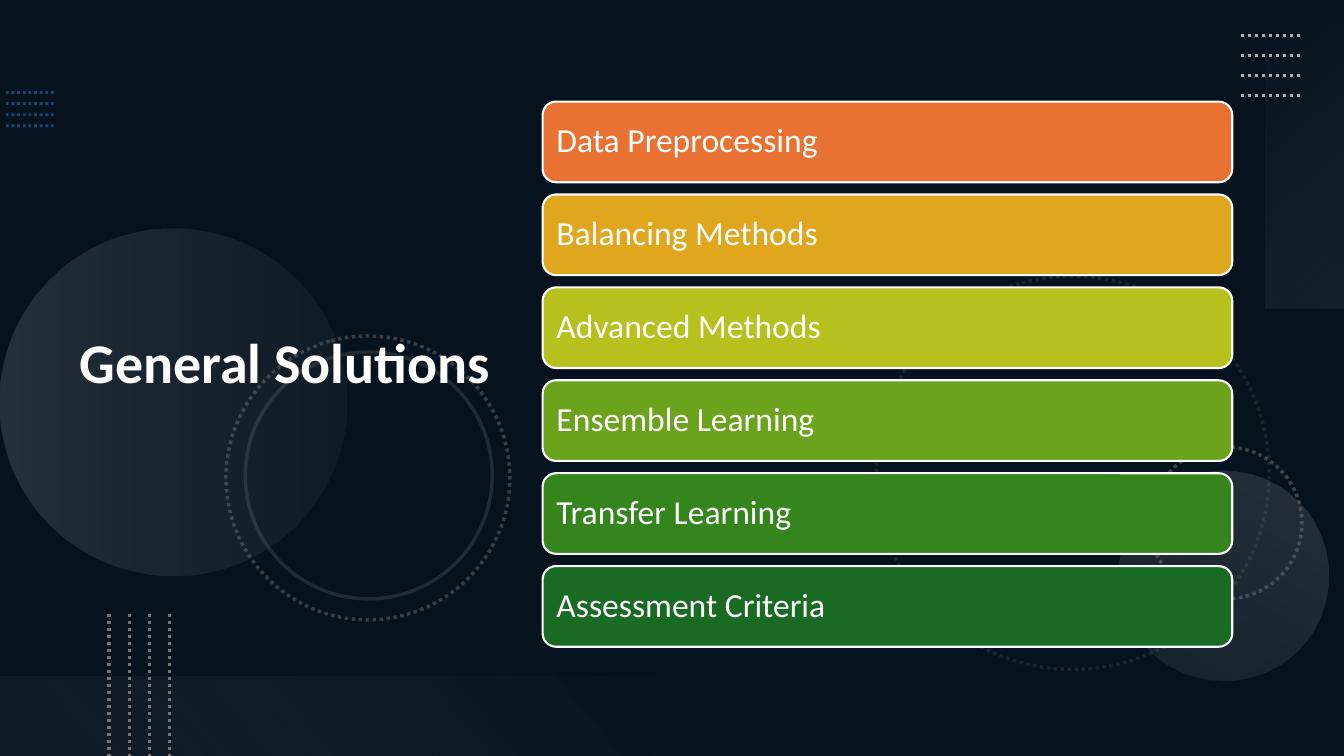
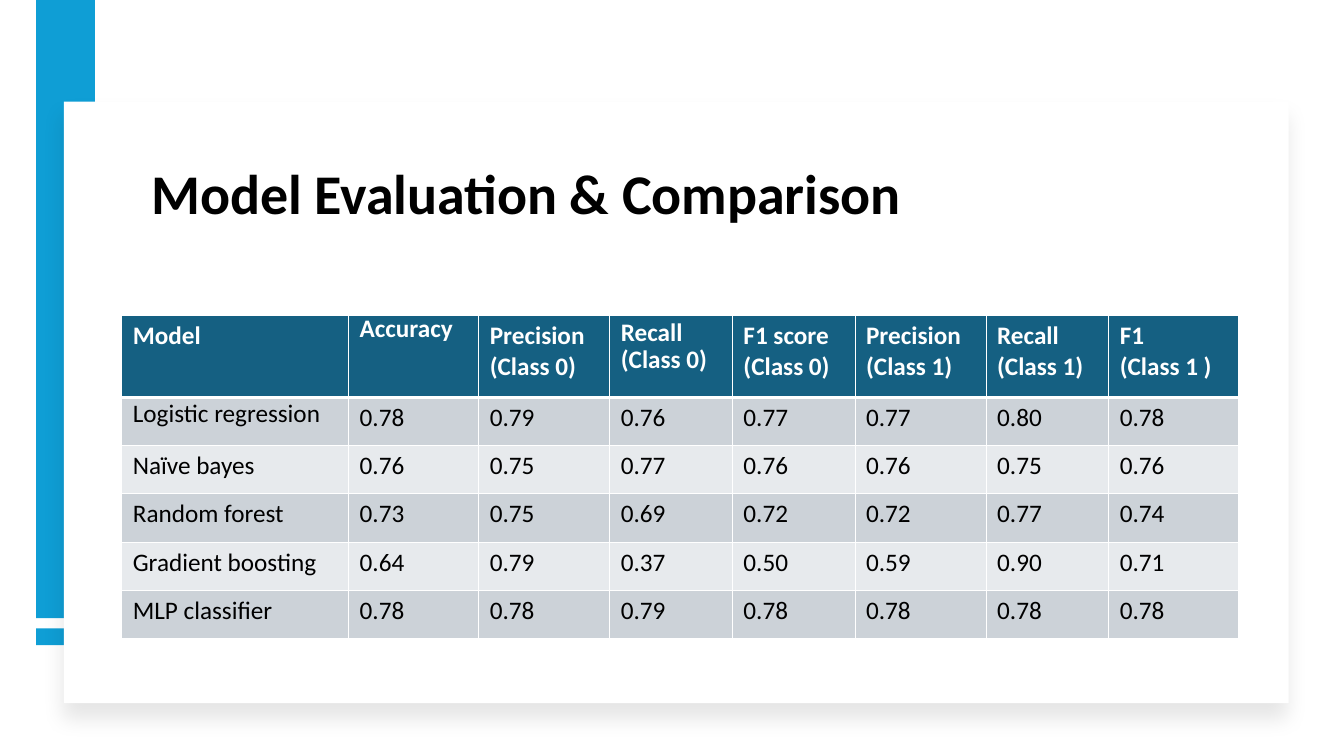
from pptx import Presentation
from pptx import util as u
from pptx.dml.color import RGBColor
from pptx.enum import dml, shapes, text
from pptx.oxml import parse_xml
from pptx.oxml.ns import nsdecls

# Shared look: a grid of 160 columns by 90 rows of square cells
CELL = u.Inches(1) // 12
COLUMNS, ROWS = 160, 90
FONT = "Calibri"
WHITE = RGBColor(0xFF, 0xFF, 0xFF)
BLACK = RGBColor(0x00, 0x00, 0x00)
NAVY = RGBColor(0x0E, 0x28, 0x41)
DOT_BLUE = RGBColor(0x2D, 0x7F, 0xCF)
GREY = RGBColor(0x74, 0x74, 0x74)
SILVER = RGBColor(0xAE, 0xAE, 0xAE)
PALE = RGBColor(0xF6, 0xF6, 0xF6)
SKY = RGBColor(0x0F, 0x9E, 0xD5)
TEAL = RGBColor(0x15, 0x60, 0x82)
BAND_DARK = RGBColor(0xCC, 0xD2, 0xD8)
BAND_LIGHT = RGBColor(0xE7, 0xEA, 0xED)
ORANGE = RGBColor(0xE9, 0x71, 0x32)
AMBER = RGBColor(0xE0, 0xA6, 0x1D)
LIME = RGBColor(0xB7, 0xC1, 0x1E)
LEAF = RGBColor(0x6B, 0xA3, 0x1D)
GREEN = RGBColor(0x34, 0x86, 0x1C)
FOREST = RGBColor(0x19, 0x6B, 0x24)
KIND = shapes.MSO_SHAPE


def add_box(slide, kind, box, color=None):
    """Add a shape on the grid without line or shadow, filled if a colour is given."""
    shape = slide.shapes.add_shape(kind, *(int(n * CELL) for n in box))
    shape.shadow.inherit = False
    shape.line.fill.background()
    if color is None:
        shape.fill.background()
    else:
        shape.fill.solid()
        shape.fill.fore_color.rgb = color
    return shape


def set_opacity(fill_parent, percent):
    """Make the colour inside an XML element partly transparent."""
    for color in fill_parent.iter("{*}srgbClr"):
        color.append(parse_xml(f'<a:alpha {nsdecls("a")} val="{percent * 1000}"/>'))


prs = Presentation()
prs.slide_width, prs.slide_height = COLUMNS * CELL, ROWS * CELL
solutions, evaluation = (prs.slides.add_slide(prs.slide_layouts[5]) for _ in range(2))
for slide, backdrop in ((solutions, NAVY), (evaluation, WHITE)):
    slide.background.fill.solid()
    slide.background.fill.fore_color.rgb = backdrop

# Slide 1: dark veil over the backdrop
veil = add_box(solutions, KIND.RECTANGLE, (0, 0, COLUMNS, ROWS), BLACK)
set_opacity(veil.fill._xPr.find("{*}solidFill"), 53)

# Slide 1: dotted line groups (first line, step to the next, colour, width, opacity)
for (x1, y1, x2, y2), (dx, dy), color, width, opacity in (
    ((0.7, 11, 6.4, 11), (0, 1.33), DOT_BLUE, 2, 50),
    ((147.7, 4.2, 154.9, 4.2), (0, 2.4), SILVER, 2.5, 100),
    ((13, 73.1, 13, ROWS), (2.4, 0), GREY, 2.5, 100),
):
    for i in range(4):
        ends = (x1 + i * dx, y1 + i * dy, x2 + i * dx, y2 + i * dy)
        dots = solutions.shapes.add_connector(
            shapes.MSO_CONNECTOR.STRAIGHT, *(int(n * CELL) for n in ends))
        dots.line.color.rgb = color
        dots.line.width = u.Pt(width)
        dots.line.dash_style = dml.MSO_LINE.ROUND_DOT
        set_opacity(dots.line._ln, opacity)
        dots._element.spPr.append(parse_xml(f'<a:effectLst {nsdecls("a")}/>'))

# Slide 1: faded discs and panels (box, rotation, gradient angle, stops)
for kind, box, rotation, angle, stops in (
    (KIND.OVAL, (0, 27.2, 41.3, 41.3), 270, 90, ((0, SILVER, 20), (100, GREY, 10))),
    (KIND.OVAL, (133.2, 56, 25, 25), 210, 90, ((0, SILVER, 10), (100, SILVER, 20))),
    (KIND.RECTANGLE, (137, 13.7, 36.7, 9.4), 270, 140, ((0, PALE, 0), (100, SILVER, 10))),
    (KIND.RECTANGLE, (0, 80.6, 80, 9.4), 180, 140, ((10, GREY, 10), (100, PALE, 0))),
):
    faded = add_box(solutions, kind, box)
    faded.rotation = rotation
    stop_xml = "".join(
        f'<a:gs pos="{at * 1000}"><a:srgbClr val="{color}">'
        f'<a:alpha val="{opacity * 1000}"/></a:srgbClr></a:gs>'
        for at, color, opacity in stops)
    no_fill = faded._element.spPr.find("{*}noFill")
    no_fill.getparent().replace(no_fill, parse_xml(
        f'<a:gradFill {nsdecls("a")} rotWithShape="1"><a:gsLst>{stop_xml}</a:gsLst>'
        f'<a:lin ang="{angle * 60000}" scaled="0"/></a:gradFill>'))

# Slide 1: rings (left, top, diameter, rotation, dotted, opacity)
for x, y, size, rotation, dotted, opacity in (
    (104.3, 32.9, 46.8, 75, True, 20),
    (136.9, 53.2, 18.1, 270, True, 50),
    (26.9, 40, 33.8, 75, True, 45),
    (29.2, 41.9, 29.4, 75, False, 25),
):
    ring = add_box(solutions, KIND.OVAL, (x, y, size, size))
    ring.rotation = rotation
    ring.line.color.rgb = GREY
    ring.line.width = u.Pt(2.5)
    if dotted:
        ring.line.dash_style = dml.MSO_LINE.ROUND_DOT
    set_opacity(ring.line._ln, opacity)

# Slide 1: list of solutions
for i, (solution, color) in enumerate((
    ("Data Preprocessing", ORANGE),
    ("Balancing Methods", AMBER),
    ("Advanced Methods", LIME),
    ("Ensemble Learning", LEAF),
    ("Transfer Learning", GREEN),
    ("Assessment Criteria", FOREST),
)):
    bar = add_box(solutions, KIND.ROUNDED_RECTANGLE, (64.6, 12.1 + i * 11.06, 82.1, 9.6), color)
    bar.line.color.rgb = WHITE
    bar.line.width = u.Pt(1.5)
    bar.text_frame.vertical_anchor = text.MSO_ANCHOR.MIDDLE
    label = bar.text_frame.paragraphs[0]
    label.alignment = text.PP_ALIGN.LEFT
    label.line_spacing = 0.9
    run = label.add_run()
    run.text = solution
    run.font.name, run.font.size, run.font.color.rgb = FONT, u.Pt(24), WHITE

# Slide 2: side band and raised card
for box in ((4.3, 74.8, 7, 2), (4.3, 0, 7, 73.6)):
    add_box(evaluation, KIND.RECTANGLE, box, SKY)
card = add_box(evaluation, KIND.RECTANGLE, (7.6, 12.1, 145.8, 71.6), WHITE)
card._element.spPr.find("{*}effectLst").append(parse_xml(
    f'<a:outerShdw {nsdecls("a")} blurRad="{u.Pt(15)}" dist="{u.Pt(11)}" dir="5400000" '
    f'algn="t" rotWithShape="0"><a:srgbClr val="{BLACK}"><a:alpha val="10000"/>'
    '</a:srgbClr></a:outerShdw>'))

# Slide 2: table of scores
SCORES = (
    ("Model", "Accuracy", "Precision\n(Class 0)", "Recall\n(Class 0)", "F1 score\n(Class 0)",
     "Precision\n(Class 1)", "Recall\n(Class 1)", "F1\n(Class 1 )"),
    ("Logistic regression", "0.78", "0.79", "0.76", "0.77", "0.77", "0.80", "0.78"),
    ("Naïve bayes", "0.76", "0.75", "0.77", "0.76", "0.76", "0.75", "0.76"),
    ("Random forest", "0.73", "0.75", "0.69", "0.72", "0.72", "0.77", "0.74"),
    ("Gradient boosting", "0.64", "0.79", "0.37", "0.50", "0.59", "0.90", "0.71"),
    ("MLP classifier", "0.78", "0.78", "0.79", "0.78", "0.78", "0.78", "0.78"),
)
COLUMN_WIDTHS = (27, 15.5, 15.6, 14.6, 14.6, 15.6, 14.6, 15.4)
ROW_HEIGHTS = (9.7,) + (5.75,) * 5
TIGHT_LINES = {(0, 1): 16.5, (0, 3): 19.5, (1, 0): 19.5}

table_box = (14.5, 37.6, sum(COLUMN_WIDTHS), sum(ROW_HEIGHTS))
scores = evaluation.shapes.add_table(
    len(SCORES), len(COLUMN_WIDTHS), *(int(n * CELL) for n in table_box)).table
scores.horz_banding = False
for column, width in zip(scores.columns, COLUMN_WIDTHS):
    column.width = int(width * CELL)
for r, (row, height, entries) in enumerate(zip(scores.rows, ROW_HEIGHTS, SCORES)):
    row.height = int(height * CELL)
    for c, (cell, entry) in enumerate(zip(row.cells, entries)):
        cell.margin_left = cell.margin_right = u.Inches(0.11)
        cell.margin_top = cell.margin_bottom = u.Inches(0.05)
        heavy_side = {0: "B", 1: "T"}.get(r)
        for side in "LRTB":
            width = u.Pt(2.34 if side == heavy_side else 0.78)
            cell._tc.get_or_add_tcPr().append(parse_xml(
                f'<a:ln{side} {nsdecls("a")} w="{width}"><a:solidFill>'
                f'<a:srgbClr val="{WHITE}"/></a:solidFill></a:ln{side}>'))
        cell.fill.solid()
        cell.fill.fore_color.rgb = TEAL if r == 0 else BAND_DARK if r % 2 else BAND_LIGHT
        for i, line in enumerate(entry.split("\n")):
            frame = cell.text_frame
            paragraph = frame.add_paragraph() if i else frame.paragraphs[0]
            paragraph.line_spacing = u.Pt(TIGHT_LINES.get((r, c), 21.8))
            run = paragraph.add_run()
            run.text = line
            run.font.name, run.font.size, run.font.bold = FONT, u.Pt(18), r == 0
            run.font.color.rgb = BLACK if r else WHITE

# Titles, in front of the decoration
for slide, heading, box, anchor, color in (
    (solutions, "General Solutions", (8.3, 6.5, 55.1, 74), text.MSO_ANCHOR.MIDDLE, WHITE),
    (evaluation, "Model Evaluation & Comparison", (16.8, 16.2, 104.2, 11.4),
     text.MSO_ANCHOR.BOTTOM, BLACK),
):
    title = slide.shapes.title
    title.left, title.top, title.width, title.height = (int(n * CELL) for n in box)
    title.text_frame.auto_size = text.MSO_AUTO_SIZE.NONE
    title.text_frame.vertical_anchor = anchor
    paragraph = title.text_frame.paragraphs[0]
    paragraph.alignment = text.PP_ALIGN.LEFT
    paragraph.line_spacing = 0.9
    run = paragraph.add_run()
    run.text = heading
    run.font.name, run.font.size, run.font.bold = FONT, u.Pt(40), True
    run.font.color.rgb = color
    title._element.getparent().append(title._element)

prs.save("out.pptx")
